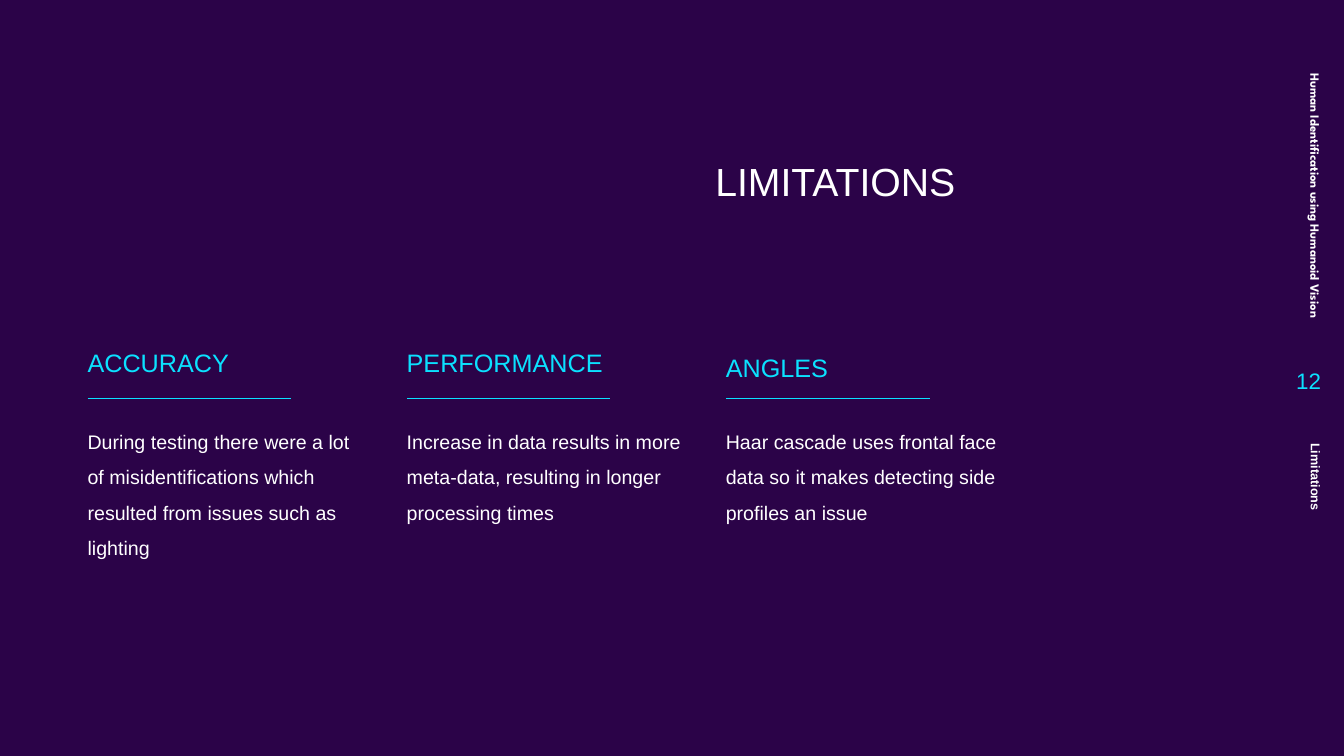
from pptx import Presentation
from pptx.dml.color import RGBColor as RGB
from pptx.enum.shapes import MSO_CONNECTOR as Conn
from pptx.enum.text import MSO_ANCHOR as Anchor, PP_ALIGN as Align
from pptx.oxml.ns import qn
from pptx.util import Inches, Pt
from lxml import etree

COLORS = {"back": "2B0348", "text": "FFFFFF", "accent": "0BE1FF"}
LIMITS = [
    ("ACCURACY", "During testing there were a lot of misidentifications "
     "which resulted from issues such as lighting", 0),
    ("PERFORMANCE", "Increase in data results in more meta-data, "
     "resulting in longer processing times", 0),
    ("ANGLES", "Haar cascade uses frontal face data so it makes "
     "detecting side profiles an issue", 0.05),
]


def color(name):
    return RGB.from_string(COLORS[name])


def add_text(slide, box, text, size, tint="text", face="Arial", bold=False,
             align=Align.LEFT, anchor=Anchor.TOP, space=1.0, turn=0):
    """Place one paragraph in a box of left, top, width, height in inches."""
    shape = slide.shapes.add_textbox(*map(Inches, box))
    shape.rotation = turn
    frame = shape.text_frame
    frame.word_wrap = True
    frame.vertical_anchor = anchor
    para = frame.paragraphs[0]
    para.text = text
    para.alignment = align
    para.line_spacing = space
    font = para.runs[0].font
    font.name, font.size, font.bold = face, Pt(size), bold
    font.color.rgb = color(tint)


def add_rule(slide, left, top, width):
    line = slide.shapes.add_connector(
        Conn.STRAIGHT, *map(Inches, (left, top, left + width, top)))
    line.line.color.rgb = color("accent")
    line.line.width = Pt(0.75)
    etree.SubElement(line._element.spPr, qn("a:effectLst"))


def add_column(slide, left, top, width, head, body, drop):
    """Draw a heading, its rule and its text; drop lowers the heading."""
    add_text(slide, (left, top + drop, width, 1.08), head, 18, "accent",
             anchor=Anchor.BOTTOM)
    add_rule(slide, left + 0.1, top + 1.24, 2.02)
    add_text(slide, (left, top + 1.39, width, 1.26), body, 14, space=1.5)


def add_margin(slide, left, top):
    """Draw the turned deck name, page number and section name."""
    add_text(slide, (left - 1.07, top, 3.03, 0.4),
             "Human Identification using Humanoid Vision", 9,
             face="League Spartan", bold=True, align=Align.RIGHT,
             anchor=Anchor.MIDDLE, turn=90)
    add_text(slide, (left, top + 1.92, 0.6, 0.63), "12", 16, "accent",
             align=Align.RIGHT, anchor=Anchor.MIDDLE)
    add_text(slide, (left - 1, top + 4.01, 2.9, 0.4), "Limitations", 9,
             bold=True, anchor=Anchor.MIDDLE, turn=90)


def main():
    deck = Presentation()
    deck.slide_width, deck.slide_height = Inches(13.33), Inches(7.5)
    slide = deck.slides.add_slide(deck.slide_layouts[6])
    fill = slide.background.fill
    fill.solid()
    fill.fore_color.rgb = color("back")
    add_text(slide, (5.5, 1.51, 5.57, 1.08), "LIMITATIONS", 28,
             align=Align.CENTER)
    for i, limit in enumerate(LIMITS):
        add_column(slide, 0.77 + i * 3.165, 2.71, 2.95, *limit)
    add_margin(slide, 12.6, 1.54)
    deck.save("out.pptx")


if __name__ == "__main__":
    main()
